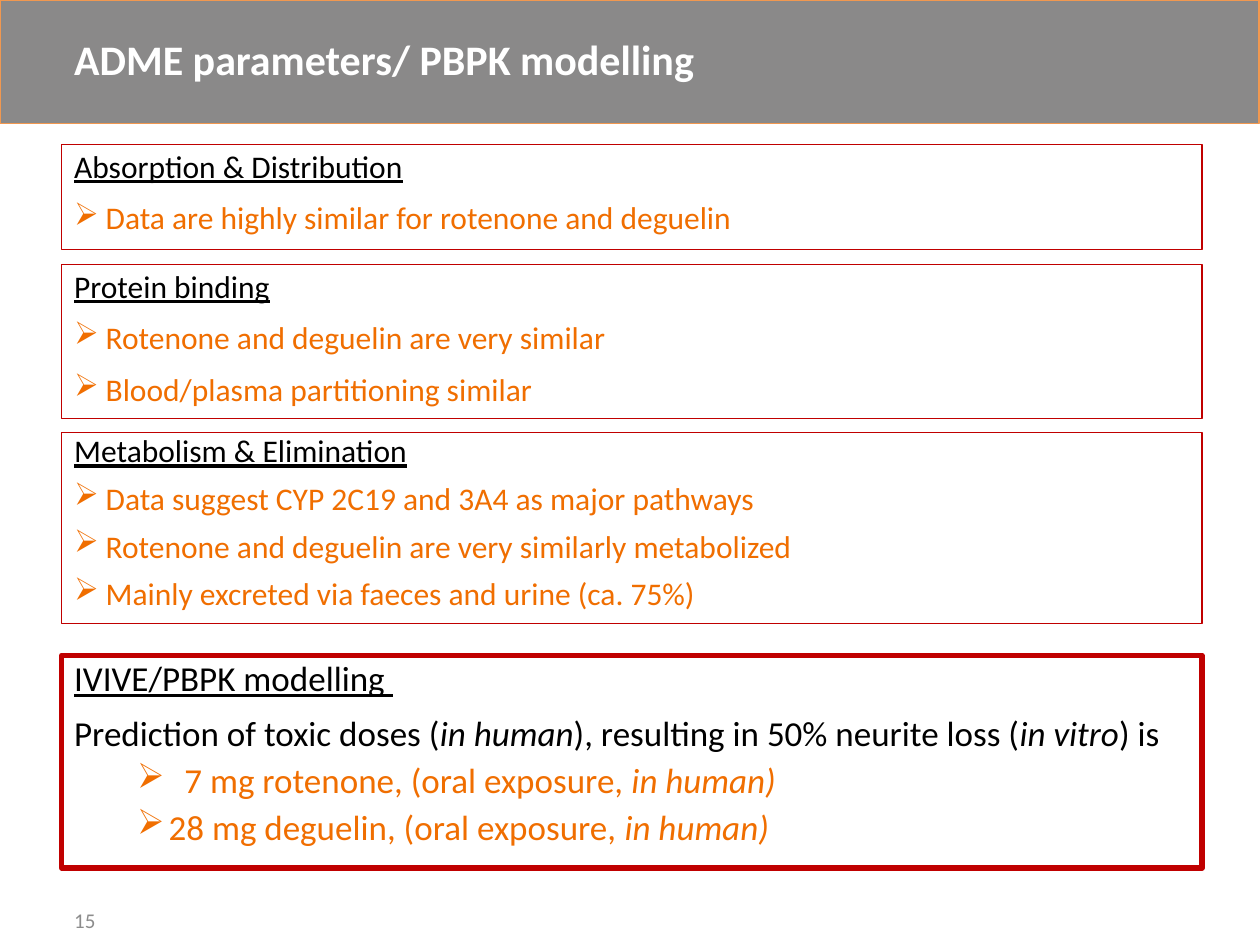
import pptx
import pptx.dml.color
import pptx.enum.shapes
import pptx.enum.text
import pptx.oxml
import pptx.util

Pt = pptx.util.Pt
RGBColor = pptx.dml.color.RGBColor
MIDDLE = pptx.enum.text.MSO_ANCHOR.MIDDLE

GREY = RGBColor(0x8A, 0x89, 0x89)
NUMBER_GREY = RGBColor(0x8C, 0x8C, 0x8C)
BORDER_ORANGE = RGBColor(0xF1, 0x98, 0x50)
ORANGE = RGBColor(0xF0, 0x6E, 0x00)
RED = RGBColor(0xC0, 0x00, 0x00)
BLACK = RGBColor(0, 0, 0)
WHITE = RGBColor(0xFF, 0xFF, 0xFF)

LEFT = 35.3
WIDTH = 651.6


def add_text_box(page, top, width, height):
    box = page.shapes.add_textbox(Pt(LEFT), Pt(top), Pt(width), Pt(height))
    box.text_frame.word_wrap = True
    return box


def add_span(para, text, size, color):
    span = para.add_run()
    span.text = text
    span.font.name = "Calibri"
    span.font.size = Pt(size)
    span.font.color.rgb = color
    return span


deck = pptx.Presentation()
deck.slide_width = Pt(720)
deck.slide_height = Pt(540)
page = deck.slides.add_slide(deck.slide_layouts[6])

banner = page.shapes.add_shape(
    pptx.enum.shapes.MSO_SHAPE.RECTANGLE, Pt(0), Pt(0), Pt(719.5), Pt(70.6))
banner.shadow.inherit = False
banner.fill.solid()
banner.fill.fore_color.rgb = GREY
banner.line.color.rgb = BORDER_ORANGE
banner.line.width = Pt(1)

title = add_text_box(page, 0, WIDTH, 70.6)
title.text_frame.vertical_anchor = MIDDLE
para = title.text_frame.paragraphs[0]
para.line_spacing = 0.9
add_span(para, "ADME parameters/ PBPK modelling", 24, WHITE).font.bold = True

STYLES = {
    "heading": (BLACK, 10, 0, 0),
    "plain": (BLACK, 10, 0, 0),
    "bullet": (ORANGE, 10, 18, -18),
    "dose": (ORANGE, 5, 54, -18),
    "aligned dose": (ORANGE, 5, 63, -27),
}

sections = [
    (82.8, 59.8, 18, 0.9, 0.75, [
        ("heading", ["Absorption & Distribution"]),
        ("bullet", ["Data are highly similar for rotenone and deguelin"]),
    ]),
    (151.2, 87.8, 18, 0.9, 0.75, [
        ("heading", ["Protein binding"]),
        ("bullet", ["Rotenone and deguelin are very similar"]),
        ("bullet", ["Blood/plasma partitioning similar"]),
    ]),
    (247, 109.4, 18, 0.8, 0.75, [
        ("heading", ["Metabolism & Elimination"]),
        ("bullet", ["Data suggest CYP 2C19 and 3A4 as major pathways"]),
        ("bullet", ["Rotenone and deguelin are very similarly metabolized"]),
        ("bullet", ["Mainly excreted via faeces and urine (ca. 75%)"]),
    ]),
    (374.4, 121.7, 20, 0.9, 3, [
        ("heading", ["IVIVE/PBPK modelling "]),
        ("plain", ["Prediction of toxic doses (", "in human",
                   "), resulting in 50% neurite loss (", "in vitro", ") is"]),
        ("aligned dose", ["7 mg rotenone, (oral exposure, ", "in human)"]),
        ("dose", ["28 mg deguelin, (oral exposure, ", "in human)"]),
    ]),
]

for top, height, size, line_spacing, border, lines in sections:
    box = add_text_box(page, top, WIDTH, height)
    box.line.color.rgb = RED
    box.line.width = Pt(border)
    for index, (style, texts) in enumerate(lines):
        frame = box.text_frame
        para = frame.add_paragraph() if index else frame.paragraphs[0]
        color, space_before, margin, indent = STYLES[style]
        para.line_spacing = line_spacing
        para.space_before = Pt(space_before)
        if margin:
            para.level = 1 if "dose" in style else 0
            properties = para._p.get_or_add_pPr()
            properties.set("marL", str(Pt(margin)))
            properties.set("indent", str(Pt(indent)))
            bullet = pptx.oxml.parse_xml(
                '<a:buChar xmlns:a="http://schemas.openxmlformats.org/'
                'drawingml/2006/main" char="➢"/>')
            properties.append(bullet)
        for position, text in enumerate(texts):
            span = add_span(para, text, size, color)
            span.font.underline = style == "heading"
            span.font.italic = position % 2 == 1

number = add_text_box(page, 511.2, 104.4, 28.8)
number.text_frame.vertical_anchor = MIDDLE
add_span(number.text_frame.paragraphs[0], "15", 12, NUMBER_GREY)

deck.save("out.pptx")
